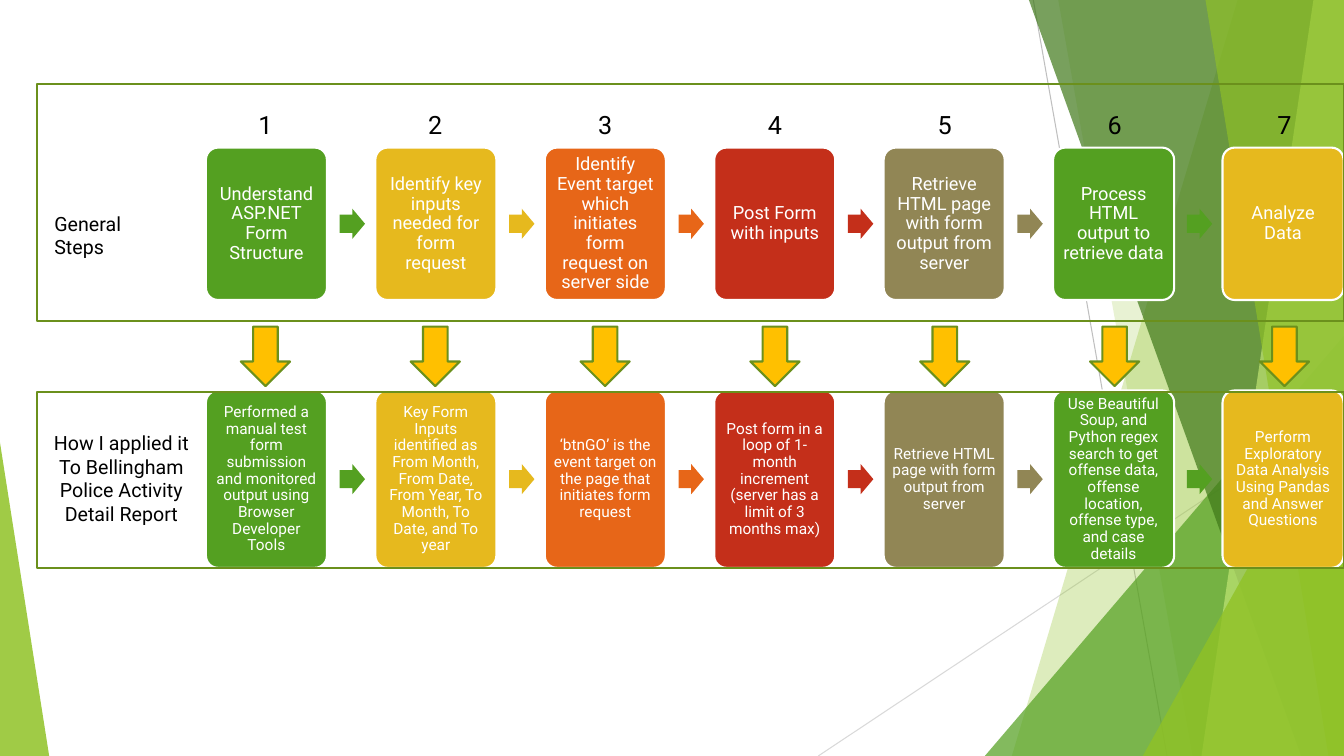
import pptx
import pptx.dml.color
import pptx.enum.shapes
import pptx.enum.text
import pptx.oxml.ns
import pptx.util
from lxml import etree

Cm, Pt = pptx.util.Cm, pptx.util.Pt
SHAPE = pptx.enum.shapes.MSO_SHAPE
ALIGN = pptx.enum.text.PP_ALIGN
ANCHOR = pptx.enum.text.MSO_ANCHOR
qn = pptx.oxml.ns.qn

W, H = 33.87, 19.05
COLORS = {
    "lime": "90C226", "green": "54A021", "forest": "3F7819", "pale": "C0E474",
    "yellow": "E6B91E", "orange": "E76618", "red": "C42F1A", "khaki": "918655",
    "gold": "FFC000", "olive": "6B901C", "grey": "BFBFBF", "light": "D9D9D9",
    "white": "FFFFFF", "black": "000000",
}


class Deck:
    """Holds the style and the current slide; lengths are in centimetres."""
    font = "Roboto"

    def __init__(self, prs):
        self.s = prs.slides.add_slide(prs.slide_layouts[6])

    def color(self, name):
        return pptx.dml.color.RGBColor.from_string(COLORS[name])

    def paint(self, sp, fill=None, line=None, alpha=100):
        sp.shadow.inherit = False
        if fill:
            sp.fill.solid()
            sp.fill.fore_color.rgb = self.color(fill)
            if alpha < 100:
                clr = sp.element.spPr.find(qn("a:solidFill"))[0]
                etree.SubElement(clr, qn("a:alpha"), val=str(alpha * 1000))
        else:
            sp.fill.background()
        if line:
            sp.line.color.rgb = self.color(line)
            sp.line.width = Pt(1.5)
        else:
            sp.line.fill.background()

    def shape(self, kind, x, y, w, h, fill=None, line=None, adj=(), alpha=100):
        sp = self.s.shapes.add_shape(kind, Cm(x), Cm(y), Cm(w), Cm(h))
        for i, value in enumerate(adj):
            sp.adjustments[i] = value
        self.paint(sp, fill, line, alpha)
        return sp

    def outline(self, points, fill, alpha):
        pts = [(Cm(x), Cm(y)) for x, y in points]
        fb = self.s.shapes.build_freeform(*pts[0], scale=1.0)
        fb.add_line_segments(pts[1:], close=True)
        self.paint(fb.convert_to_shape(), fill, alpha=alpha)

    def line(self, x1, y1, x2, y2, color):
        c = self.s.shapes.add_connector(
            pptx.enum.shapes.MSO_CONNECTOR.STRAIGHT, Cm(x1), Cm(y1), Cm(x2), Cm(y2))
        c.line.color.rgb = self.color(color)
        c.line.width = Pt(0.75)
        etree.SubElement(c.element.spPr, qn("a:effectLst"))

    def set_text(self, sp, text, size, color, align, spacing=None):
        tf = sp.text_frame
        tf.word_wrap = True
        tf.text = text
        for p in tf.paragraphs:
            p.alignment = align
            p.line_spacing = spacing
            for r in p.runs:
                r.font.name = self.font
                r.font.size = Pt(size)
                r.font.color.rgb = self.color(color)
        return tf

    def label(self, text, x, y, w, h, size, align=ALIGN.CENTER):
        sp = self.s.shapes.add_textbox(Cm(x), Cm(y), Cm(w), Cm(h))
        self.set_text(sp, text, size, "black", align)

    def card(self, text, x, y, w, h, fill, size):
        sp = self.shape(SHAPE.ROUNDED_RECTANGLE, x, y, w, h, fill, "white", [0.1])
        tf = self.set_text(sp, text, size, "white", ALIGN.CENTER, 0.9)
        tf.vertical_anchor = ANCHOR.MIDDLE
        tf.margin_left = tf.margin_right = tf.margin_top = tf.margin_bottom = Cm(0.13)


prs = pptx.Presentation()
prs.slide_width, prs.slide_height = Cm(W), Cm(H)
deck = Deck(prs)

# Background: thin lines, then translucent facets
deck.line(26.04, 0, 29.41, H, "grey")
deck.line(W, 10.24, 20.62, H, "light")


def facet(top, bottom, fill, alpha):
    deck.outline([(top, 0), (W, 0), (W, H), (bottom, H)], fill, alpha)


def wedge(x, y, w, apex, fill, alpha):
    deck.shape(SHAPE.ISOSCELES_TRIANGLE, x, y, w, H - y, fill, adj=[apex], alpha=alpha)


facet(31.19, 25.5, "lime", 30)
facet(26.67, 30.05, "lime", 20)
wedge(24.82, 8.46, W - 24.82, 1, "green", 72)
facet(25.93, 32.79, "forest", 70)
facet(33.1, 30.28, "pale", 70)
facet(30.38, 33.48, "lime", 65)
wedge(28.8, 9.98, W - 28.8, 1, "lime", 80)
wedge(0, 11.15, 1.24, 0, "lime", 85)

# Two rows of process cards joined by arrows
CARD_X, CARD_W, CARD_STEP = 5.19, 3.05, 4.27
FILLS = ["green", "yellow", "orange", "red", "khaki", "green", "yellow"]
GENERAL = [
    "Understand ASP.NET Form Structure",
    "Identify key inputs needed for form request",
    "Identify Event target which initiates form request on server side",
    "Post Form with inputs",
    "Retrieve HTML page with form output from server",
    "Process HTML output to retrieve data",
    "Analyze Data",
]
APPLIED = [
    "Performed a manual test form submission and monitored output using "
    "Browser Developer Tools",
    "Key Form Inputs identified as From Month, From Date, From Year, To Month, "
    "To Date, and To year",
    "‘btnGO’ is the event target on the page that initiates form request",
    "Post form in a loop of 1-month increment (server has a limit of 3 months max)",
    "Retrieve HTML page with form output from server",
    "Use Beautiful Soup, and Python regex search to get offense data, "
    "offense location, offense type, and case details",
    "Perform Exploratory Data Analysis Using Pandas and Answer Questions",
]
for texts, y, h, size in [(GENERAL, 3.72, 3.84, 13), (APPLIED, 9.84, 4.47, 11)]:
    for i, (text, fill) in enumerate(zip(texts, FILLS)):
        x = CARD_X + i * CARD_STEP
        deck.card(text, x, y, CARD_W, h, fill, size)
        if i < len(texts) - 1:
            deck.shape(SHAPE.RIGHT_ARROW, x + 3.37, y + h / 2 - 0.38, 0.64, 0.76,
                       fill, adj=[0.6, 0.5])

# Step numbers and down arrows
for i in range(len(FILLS)):
    center = 6.69 + i * 4.28
    deck.shape(SHAPE.DOWN_ARROW, center - 0.62, 8.23, 1.24, 1.5, "gold", "olive")
    deck.label(str(i + 1), center - 0.43, 2.64, 0.86, 1.02, 18)

# Row labels and frames
deck.label("General Steps", 1.12, 5.21, 3.33, 1.35, 14, ALIGN.LEFT)
deck.label("How I applied it\nTo Bellingham Police Activity Detail Report",
           0.94, 10.74, 4.24, 2.64, 14)
for y, h in [(2.11, 5.99), (9.88, 4.44)]:
    deck.shape(SHAPE.RECTANGLE, 0.94, y, W - 0.94, h, line="olive")

prs.save("out.pptx")
